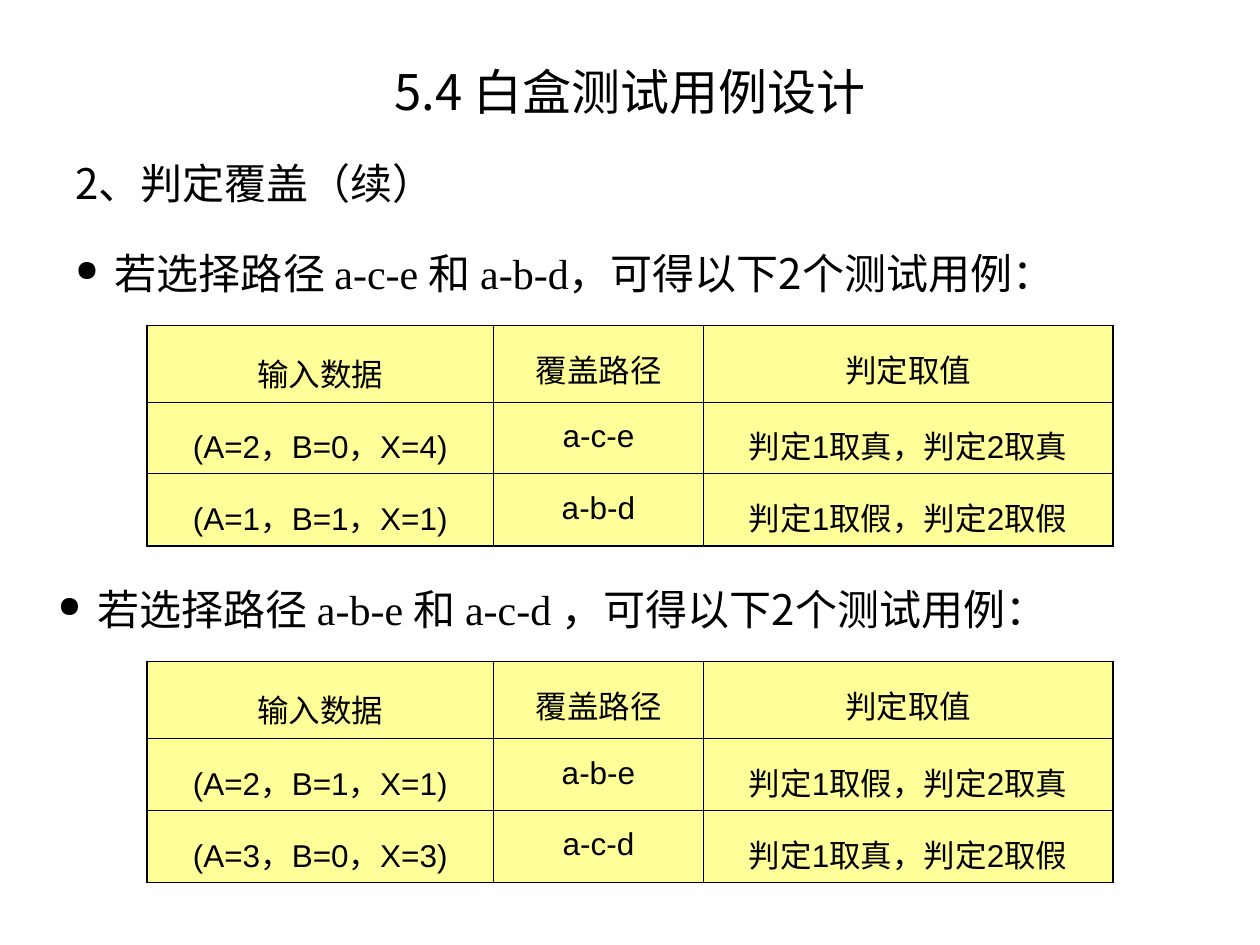
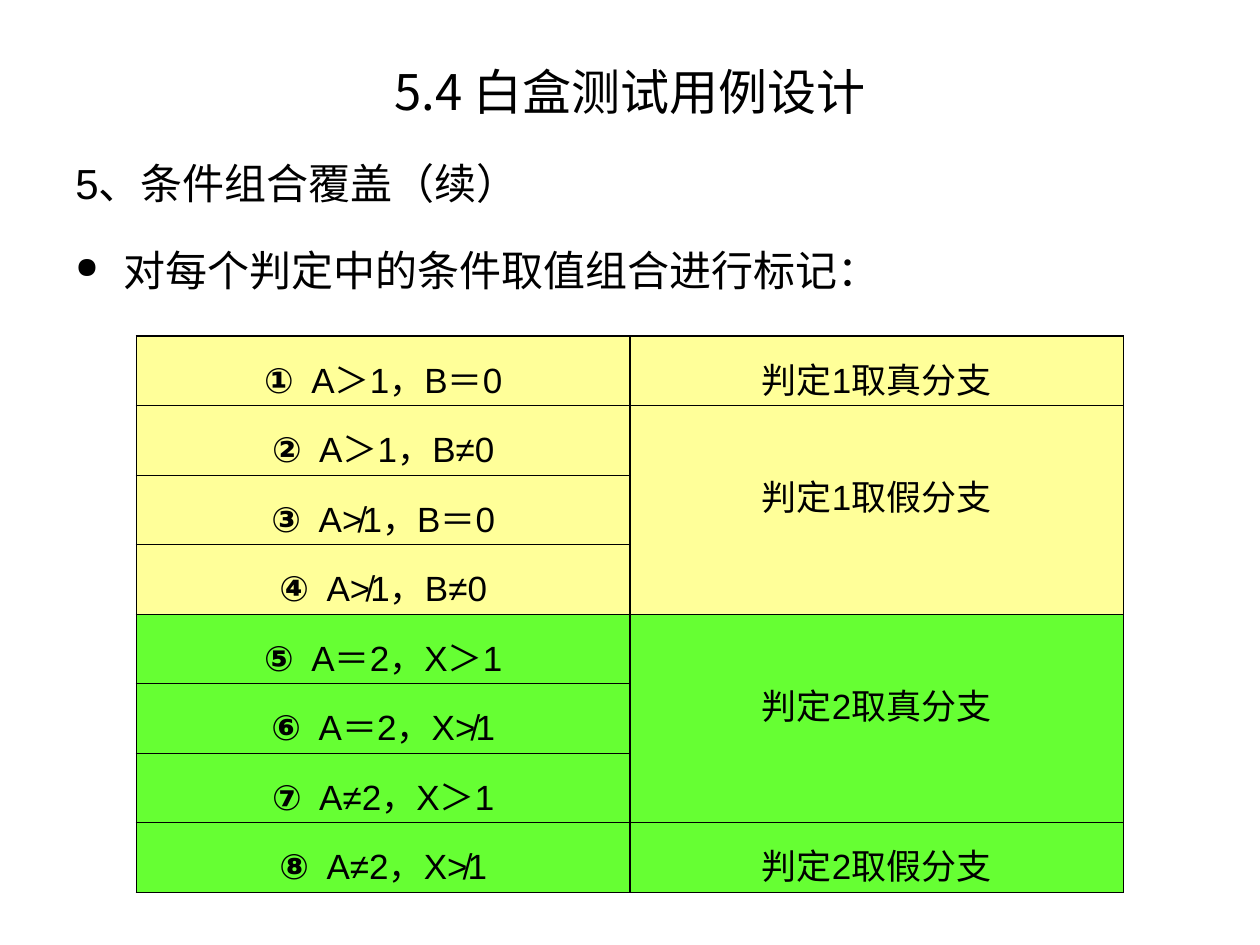
from lxml import etree
from pptx import Presentation
from pptx.dml.color import RGBColor
from pptx.enum.text import MSO_ANCHOR, PP_ALIGN
from pptx.oxml.ns import qn
from pptx.util import Inches, Pt

COLORS = {"ink": "000000", "yellow": "FFFF99", "green": "66FF33"}
SANS, CJK, SERIF = "Arial", "Noto Sans CJK SC", "Times New Roman"
CENTER, MIDDLE = PP_ALIGN.CENTER, MSO_ANCHOR.MIDDLE
GRID = Inches(10) / 120  # the slide is 120 columns by 90 rows
THICK, THIN = Pt(1.08), Pt(0.45)

TITLE = "5.4 白盒测试用例设计"
TITLE_BOX = (6, 4, 108, 9.33)
CASE_HEADER = ["输入数据", "覆盖路径", "判定取值"]
CASE_COLUMNS = (33, 20, 39)
CASE_ROWS = (0.35, 0.325, 0.325)
COMBINATIONS = [
    ("①", "A＞1，B＝0"), ("②", "A＞1，B≠0"), ("③", "A≯1，B＝0"), ("④", "A≯1，B≠0"),
    ("⑤", "A＝2，X＞1"), ("⑥", "A＝2，X≯1"), ("⑦", "A≠2，X＞1"), ("⑧", "A≠2，X≯1"),
]
# first row, last row, label
BRANCHES = [(0, 0, "判定1取真分支"), (1, 3, "判定1取假分支"),
            (4, 6, "判定2取真分支"), (7, 7, "判定2取假分支")]


def grid(*cells):
    return [round(cell * GRID) for cell in cells]


def rgb(name):
    return RGBColor.from_string(COLORS[name])


def write(paragraph, pieces, size, spacing=None, align=None):
    """Fill a paragraph with (text, font, bold) pieces."""
    paragraph.alignment = align
    paragraph.line_spacing = spacing
    for text, font, bold in pieces:
        run = paragraph.add_run()
        run.text = text
        run.font.size, run.font.name, run.font.bold = Pt(size), font, bold
        run.font.color.rgb = rgb("ink")
        etree.SubElement(run.font._element, qn("a:ea"), typeface=CJK)


def hang(paragraph, indent, bullet=False):
    properties = paragraph._p.get_or_add_pPr()
    properties.set("marL", str(Inches(indent)))
    properties.set("indent", str(-Inches(indent)))
    if bullet:
        color = etree.SubElement(properties, qn("a:buClr"))
        etree.SubElement(color, qn("a:srgbClr"), val=COLORS["ink"])
        etree.SubElement(properties, qn("a:buSzPct"), val="70000")
        etree.SubElement(properties, qn("a:buChar"), char="●")


def add_frame(slide, box):
    frame = slide.shapes.add_textbox(*grid(*box)).text_frame
    frame.word_wrap = True
    return frame


def add_title(slide, box):
    frame = add_frame(slide, box)
    frame.vertical_anchor = MIDDLE
    write(frame.paragraphs[0], [(TITLE, CJK, False)], 28, align=CENTER)


def add_body(slide, box, font, heading, point=None):
    frame = add_frame(slide, box)
    hang(frame.paragraphs[0], 0.38)
    write(frame.paragraphs[0], [(heading, font, False)], 24, 1.3)
    if point:
        item = frame.add_paragraph()
        hang(item, 0.38, bullet=True)
        item.space_before = Pt(12)
        write(item, [(point, font, False)], 24, 1.3)


def add_path_choice(slide, box, first, second):
    item = add_frame(slide, box).paragraphs[0]
    hang(item, 0.24, bullet=True)
    pieces = [(" 若选择路径 ", CJK), (first + " ", SERIF), ("和 ", CJK),
              (second, SERIF), ("，可得以下2个测试用例：", CJK)]
    write(item, [(text, font, False) for text, font in pieces], 24)


def border(cell, widths):
    """Draw left, right, top and bottom edges, ahead of the cell's fill."""
    properties = cell._tc.get_or_add_tcPr()
    for place, (side, width) in enumerate(zip("LRTB", widths)):
        line = etree.Element(qn(f"a:ln{side}"), w=str(width))
        fill = etree.SubElement(line, qn("a:solidFill"))
        etree.SubElement(fill, qn("a:srgbClr"), val=COLORS["ink"])
        properties.insert(place, line)


def add_grid_table(slide, box, columns, rows, row_fills, inner_vertical=THIN):
    """Add a framed table; columns are grid columns, rows shares of the box."""
    table = slide.shapes.add_table(len(rows), len(columns), *grid(*box)).table
    table.first_row = table.horz_banding = False
    for column, width in zip(table.columns, columns):
        column.width = grid(width)[0]
    for row, share in zip(table.rows, rows):
        row.height = grid(share * box[3])[0]
    last_row, last_column = len(rows) - 1, len(columns) - 1
    for r, fill in enumerate(row_fills):
        for c in range(len(columns)):
            cell = table.cell(r, c)
            cell.fill.solid()
            cell.fill.fore_color.rgb = rgb(fill)
            border(cell, (THICK if c == 0 else inner_vertical,
                          THICK if c == last_column else inner_vertical,
                          THICK if r == 0 else THIN,
                          THICK if r == last_row else THIN))
    return table


def add_case_table(slide, box, cases):
    table = add_grid_table(slide, box, CASE_COLUMNS, CASE_ROWS, ["yellow"] * 3)
    for r, texts in enumerate([CASE_HEADER, *cases]):
        for c, text in enumerate(texts):
            spacing = 1.4 if r == c == 0 else 1.3
            write(table.cell(r, c).text_frame.paragraphs[0],
                  [(text, SANS, False)], 18, spacing, CENTER)


def add_combination_table(slide, box):
    count = len(COMBINATIONS)
    fills = ["yellow"] * (count // 2) + ["green"] * (count // 2)
    table = add_grid_table(slide, box, [box[2] / 2] * 2, [1 / count] * count,
                           fills, inner_vertical=THICK)
    for r, (mark, condition) in enumerate(COMBINATIONS):
        write(table.cell(r, 0).text_frame.paragraphs[0],
              [(mark, SANS, True), ("  " + condition, SANS, False)], 20, 1.2, CENTER)
    for first, last, label in BRANCHES:
        cell = table.cell(first, 1)
        if last > first:
            cell.merge(table.cell(last, 1))
            cell.margin_top = Inches(0.43)
        write(cell.text_frame.paragraphs[0], [(label, SANS, False)], 20, 1.2, CENTER)


def build_decision_coverage(slide):
    add_case_table(slide, (14, 63, 92, 21), [
        ("(A=2，B=1，X=1)", "a-b-e", "判定1取假，判定2取真"),
        ("(A=3，B=0，X=3)", "a-c-d", "判定1取真，判定2取假")])
    add_case_table(slide, (14, 31, 92, 20), [
        ("(A=2，B=0，X=4)", "a-c-e", "判定1取真，判定2取真"),
        ("(A=1，B=1，X=1)", "a-b-d", "判定1取假，判定2取假")])
    add_path_choice(slide, (6, 23, 103, 6), "a-c-e", "a-b-d")
    add_path_choice(slide, (4.33, 55, 102.2, 6), "a-b-e", "a-c-d ")
    add_title(slide, TITLE_BOX)
    add_body(slide, (6, 13, 108, 69), CJK, "2、判定覆盖（续）")


def build_condition_combination(slide):
    add_body(slide, (6, 13, 108, 66.4), SANS, "5、条件组合覆盖（续）",
             "对每个判定中的条件取值组合进行标记：")
    add_combination_table(slide, (13, 32, 94, 53))
    add_title(slide, TITLE_BOX)


def main():
    deck = Presentation()
    deck.slide_width, deck.slide_height = Inches(10), Inches(7.5)
    for build in (build_decision_coverage, build_condition_combination):
        build(deck.slides.add_slide(deck.slide_layouts[6]))
    deck.save("out.pptx")


if __name__ == "__main__":
    main()
